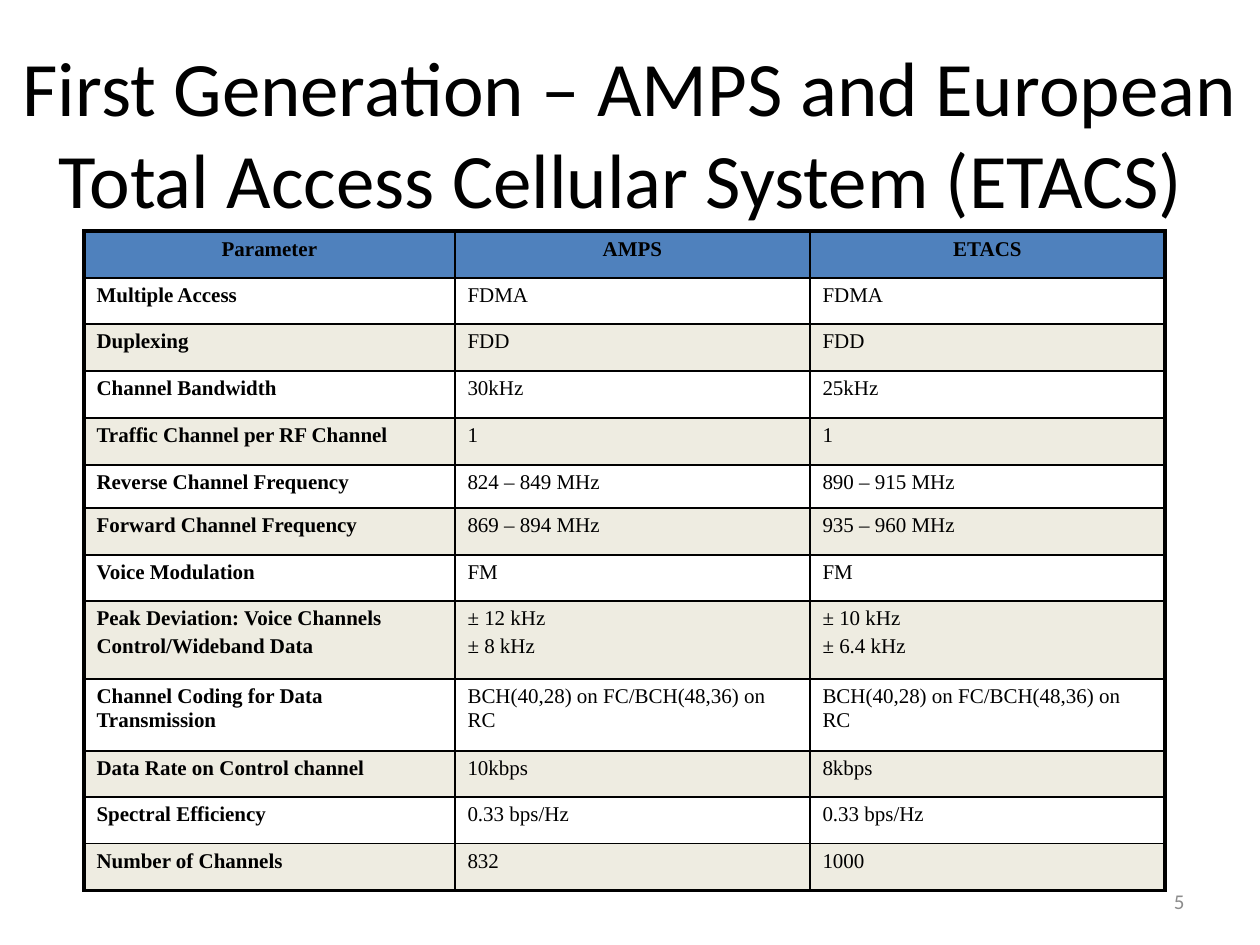
from lxml import etree
from pptx import Presentation
from pptx.dml.color import RGBColor
from pptx.enum.text import MSO_ANCHOR, PP_ALIGN
from pptx.oxml.ns import qn
from pptx.util import Emu, Pt

PX_PER_INCH = 126
LEFT, CENTER, RIGHT = PP_ALIGN.LEFT, PP_ALIGN.CENTER, PP_ALIGN.RIGHT
MIDDLE = MSO_ANCHOR.MIDDLE
COLORS = {"text": "000000", "number": "8C8C8C", "header": "4F81BD",
          "band": "EEECE1", "border": "000000"}
SANS, SERIF = "Calibri", "Times New Roman"
THIN, THICK = 1, 2.25

COL_WIDTHS = [371, 355, 355]
ROW_HEIGHTS = [47, 46, 47, 47, 47, 43, 47, 46, 78, 72, 46, 47, 47]
CODING = "BCH(40,28) on FC/BCH(48,36) on RC"
ROWS = [
    ("Parameter", "AMPS", "ETACS"),
    ("Multiple Access", "FDMA", "FDMA"),
    ("Duplexing", "FDD", "FDD"),
    ("Channel Bandwidth", "30kHz", "25kHz"),
    ("Traffic Channel per RF Channel", "1", "1"),
    ("Reverse Channel Frequency", "824 – 849 MHz", "890 – 915 MHz"),
    ("Forward Channel Frequency", "869 – 894 MHz", "935 – 960 MHz"),
    ("Voice Modulation", "FM", "FM"),
    ("Peak Deviation: Voice Channels\nControl/Wideband Data",
     "± 12 kHz\n± 8 kHz", "± 10 kHz\n± 6.4 kHz"),
    ("Channel Coding for Data Transmission", CODING, CODING),
    ("Data Rate on Control channel", "10kbps", "8kbps"),
    ("Spectral Efficiency", "0.33 bps/Hz", "0.33 bps/Hz"),
    ("Number of Channels", "832", "1000"),
]


def px(n):
    return Emu(round(n * 914400 / PX_PER_INCH))


def add_run(p, text, size, font, color, bold=False):
    r = p.add_run()
    r.text = text
    r.font.size = Pt(size)
    r.font.name = font
    r.font.bold = bold
    r.font.color.rgb = RGBColor.from_string(COLORS[color])


def add_label(s, box, text, size, color, align):
    tf = s.shapes.add_textbox(*map(px, box)).text_frame
    tf.word_wrap = True
    tf.vertical_anchor = MIDDLE
    p = tf.paragraphs[0]
    p.alignment = align
    add_run(p, text, size, SANS, color)


def set_borders(cell, widths):
    """Draw the cell's edges; widths maps L, R, T and B to points."""
    tc_pr = cell._tc.get_or_add_tcPr()
    for side, width in widths.items():
        ln = etree.SubElement(tc_pr, qn(f"a:ln{side}"), w=str(Pt(width)))
        fill = etree.SubElement(ln, qn("a:solidFill"))
        etree.SubElement(fill, qn("a:srgbClr"), val=COLORS["border"])


def fill_cell(cell, text, row, col):
    last_row, last_col = len(ROWS) - 1, len(COL_WIDTHS) - 1
    set_borders(cell, {
        "L": THICK if col == 0 else THIN,
        "R": THICK if col == last_col else THIN,
        "T": THICK if row == 0 else THIN,
        "B": THICK if row == last_row else THIN,
    })
    if row and row % 2:
        cell.fill.background()
    else:
        cell.fill.solid()
        color = COLORS["band" if row else "header"]
        cell.fill.fore_color.rgb = RGBColor.from_string(color)
    tf = cell.text_frame
    for i, line in enumerate(text.split("\n")):
        p = tf.add_paragraph() if i else tf.paragraphs[0]
        if i:
            p.space_before = Pt(2.4)
        p.alignment = LEFT if row else CENTER
        add_run(p, line, 12, SERIF, "text", bold=row == 0 or col == 0)


def add_comparison_table(s, left, top):
    size = px(sum(COL_WIDTHS)), px(sum(ROW_HEIGHTS))
    table = s.shapes.add_table(len(ROWS), len(COL_WIDTHS),
                               px(left), px(top), *size).table
    table.first_row = table.horz_banding = False
    for column, width in zip(table.columns, COL_WIDTHS):
        column.width = px(width)
    for row, height in zip(table.rows, ROW_HEIGHTS):
        row.height = px(height)
    for i, values in enumerate(ROWS):
        for j, text in enumerate(values):
            fill_cell(table.cell(i, j), text, i, j)


def main():
    prs = Presentation()
    prs.slide_width, prs.slide_height = px(1260), px(945)
    s = prs.slides.add_slide(prs.slide_layouts[6])
    add_label(s, (903, 876, 294, 50), "5", 12, "number", RIGHT)
    add_label(s, (0, 53, 1260, 157),
              "First Generation – AMPS and European Total Access "
              "Cellular System (ETACS) ", 44, "text", CENTER)
    add_comparison_table(s, 84, 231)
    prs.save("out.pptx")


if __name__ == "__main__":
    main()
